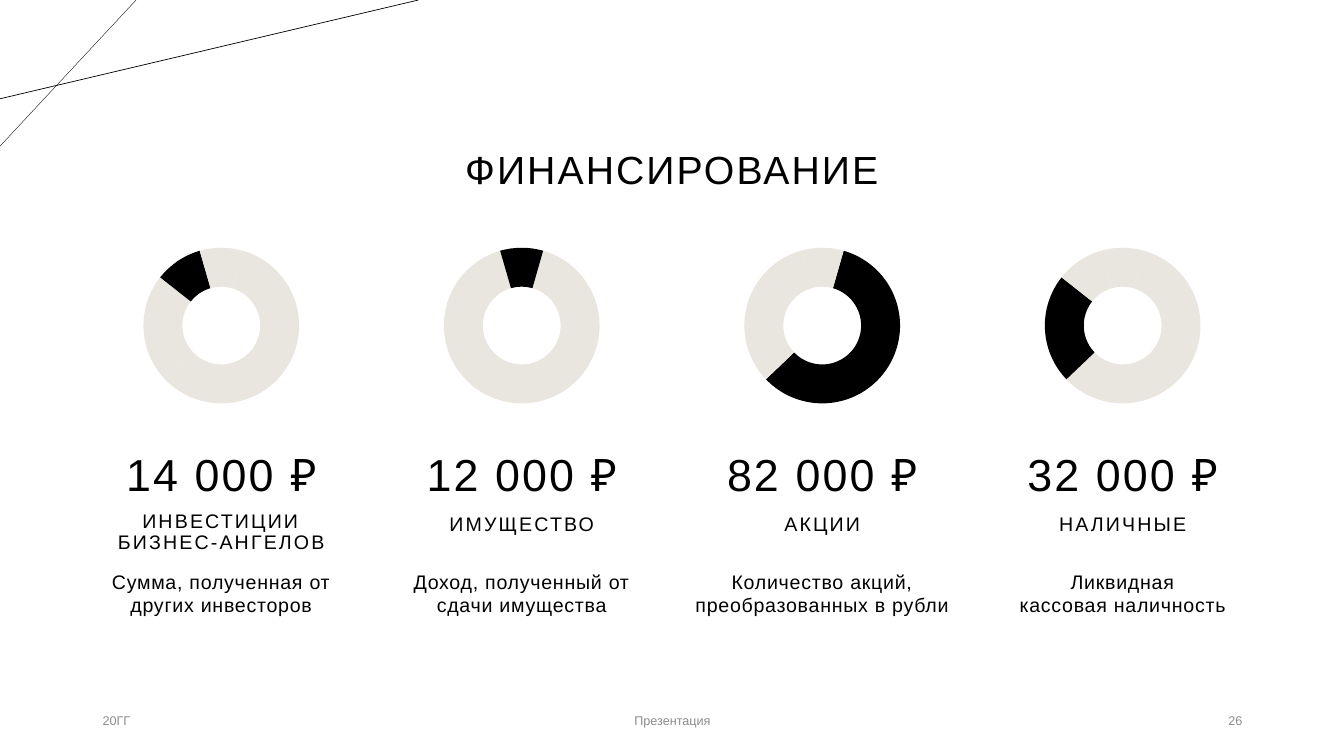
from copy import deepcopy

from lxml.etree import SubElement
from pptx import Presentation
from pptx.chart.data import CategoryChartData
from pptx.dml.color import RGBColor
from pptx.enum.chart import XL_CHART_TYPE
from pptx.enum.text import MSO_ANCHOR, PP_ALIGN
from pptx.enum.shapes import MSO_CONNECTOR
from pptx.oxml.ns import qn
from pptx.util import Pt

# Content
TITLE = "ФИНАНСИРОВАНИЕ"
SHARES = {"1": 59, "2": 23, "3": 10, "4": 9}
# amount, label, label top, note, highlighted slice
SOURCES = [
    ("14 000 ₽", "ИНВЕСТИЦИИ БИЗНЕС-АНГЕЛОВ", 506,
     "Сумма, полученная от других инвесторов", 2),
    ("12 000 ₽", "ИМУЩЕСТВО", 488, "Доход, полученный от сдачи имущества", 3),
    ("82 000 ₽", "АКЦИИ", 488, "Количество акций, преобразованных в рубли", 0),
    ("32 000 ₽", "НАЛИЧНЫЕ", 488, "Ликвидная\nкассовая наличность", 1),
]
FOOTER = [
    ("20ГГ", 92, 300, PP_ALIGN.LEFT),
    ("Презентация", 442, 450, PP_ALIGN.CENTER),
    ("26", 942, 300, PP_ALIGN.RIGHT),
]
# start x, start y, end x, end y, width in points
CORNER_LINES = [(135, 0, 0, 145, 0.25), (415, 0, 0, 98, 0.5)]

BLACK = RGBColor(0x00, 0x00, 0x00)
SAND = RGBColor(0xE9, 0xE6, 0xDF)
GREY = RGBColor(0x8C, 0x8C, 0x8C)

# Geometry: 100 px to the inch
PX = 9144
SLIDE_W, SLIDE_H = 1333, 750
MARGIN, COLUMN_W = 92, 255
PITCH = (SLIDE_W - 2 * MARGIN - COLUMN_W) / (len(SOURCES) - 1)
RING_W, RING_H = 203, 182


def emu(*lengths):
    return [round(length * PX) for length in lengths]


def add_text(text, left, top, width, height, size, color=BLACK, spacing=0,
             align=PP_ALIGN.CENTER, anchor=MSO_ANCHOR.MIDDLE, inset=10, leading=1.0):
    frame = slide.shapes.add_textbox(*emu(left, top, width, height)).text_frame
    frame.word_wrap = True
    frame.vertical_anchor = anchor
    frame.margin_left = frame.margin_right = inset * PX
    frame.margin_top = frame.margin_bottom = 5 * PX
    paragraph = frame.paragraphs[0]
    paragraph.text = text
    paragraph.alignment = align
    paragraph.line_spacing = leading
    for run in paragraph.runs:
        run.font.name = "Arial"
        run.font.size = Pt(size)
        run.font.color.rgb = color
        run.font._element.set("spc", str(round(spacing * 100)))
    # Line breaks take the format of the text around them
    for line_break in paragraph._p.findall(qn("a:br")):
        line_break.append(deepcopy(paragraph.runs[0].font._element))


def add_ring(left, top, highlighted):
    shares = CategoryChartData()
    shares.categories = list(SHARES)
    shares.add_series("Series 1", list(SHARES.values()))
    chart = slide.shapes.add_chart(
        XL_CHART_TYPE.DOUGHNUT, *emu(left, top, RING_W, RING_H), shares).chart
    chart.has_legend = False
    chart.has_title = False
    chart.font.name = "Calibri"
    chart.font.size = Pt(10)
    chart.font.color.rgb = BLACK
    ring = chart.plots[0]
    ring.vary_by_categories = True
    for index in range(len(SHARES)):
        piece = ring.series[0].points[index].format
        piece.fill.solid()
        piece.fill.fore_color.rgb = BLACK if index == highlighted else SAND
        piece.line.fill.background()
    for tag, value in (("c:firstSliceAng", 16), ("c:holeSize", 80)):
        ring._element.find(qn(tag)).set("val", str(value))


presentation = Presentation()
presentation.slide_width, presentation.slide_height = emu(SLIDE_W, SLIDE_H)
slide = presentation.slides.add_slide(presentation.slide_layouts[6])

# Corner lines
for *ends, weight in CORNER_LINES:
    stroke = slide.shapes.add_connector(MSO_CONNECTOR.STRAIGHT, *emu(*ends))
    stroke.line.color.rgb = BLACK
    stroke.line.width = Pt(weight)
    SubElement(stroke._element.spPr, qn("a:effectLst"))

# Title
add_text(TITLE, 206, 98, 921, 145, 28, spacing=1.5, leading=0.9)

# One column per source of funds
for column, (amount, label, label_top, note, highlighted) in enumerate(SOURCES):
    left = MARGIN + column * PITCH
    add_ring(left + (COLUMN_W - RING_W) / 2, 232, highlighted)
    heading = dict(spacing=1.5, anchor=MSO_ANCHOR.BOTTOM, inset=0, leading=0.9)
    add_text(amount, left, 414, COLUMN_W, 88, 32, **heading)
    add_text(label, left, label_top, COLUMN_W, 48, 14, **heading)
    add_text(note, left, 560, COLUMN_W, 93, 14, spacing=0.5,
             anchor=MSO_ANCHOR.TOP, inset=0)

# Footer
for text, left, width, align in FOOTER:
    add_text(text, left, 695, width, 40, 9, color=GREY, align=align)

presentation.save("out.pptx")
